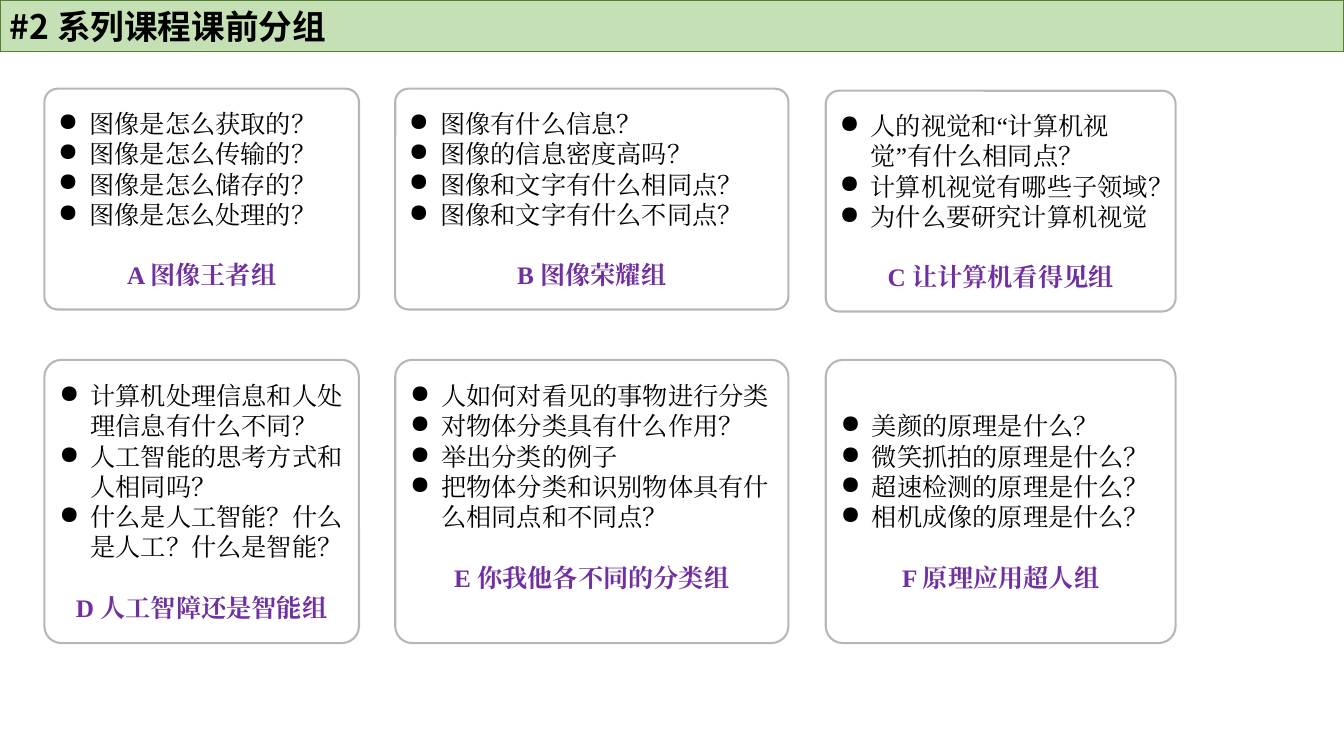
from lxml.etree import SubElement
from pptx import Presentation
from pptx.dml.color import RGBColor
from pptx.enum.lang import MSO_LANGUAGE_ID
from pptx.enum.shapes import MSO_SHAPE
from pptx.enum.text import MSO_ANCHOR, PP_ALIGN
from pptx.oxml.ns import qn
from pptx.util import Inches, Pt

BLACK = RGBColor(0x00, 0x00, 0x00)
WHITE = RGBColor(0xFF, 0xFF, 0xFF)
PALE_GREEN = RGBColor(0xC5, 0xE0, 0xB4)
DARK_GREEN = RGBColor(0x53, 0x80, 0x35)
GREY = RGBColor(0xA6, 0xA6, 0xA6)
PURPLE = RGBColor(0x70, 0x30, 0xA0)

# Grid in inches: (start, size) of each column and row
COLUMNS = [(0.44, 3.12), (3.92, 3.9), (8.19, 3.47)]
ROWS = [(0.88, 2.19), (3.57, 2.81)]
LINE_PITCH = 0.3
HEADING = "#2 系列课程课前分组"

# Group name, questions, optional placement adjustments
GROUPS = [
    ("A 图像王者组",
     ["图像是怎么获取的？", "图像是怎么传输的？", "图像是怎么储存的？", "图像是怎么处理的？"], {}),
    ("B 图像荣耀组",
     ["图像有什么信息？", "图像的信息密度高吗？", "图像和文字有什么相同点？",
      "图像和文字有什么不同点？"], {}),
    ("C 让计算机看得见组",
     ["人的视觉和“计算机视觉”有什么相同点？", "计算机视觉有哪些子领域？",
      "为什么要研究计算机视觉"], {"drop": 0.02}),
    ("D 人工智障还是智能组",
     ["计算机处理信息和人处理信息有什么不同？", "人工智能的思考方式和人相同吗？",
      "什么是人工智能？什么是人工？什么是智能？"], {}),
    ("E 你我他各不同的分类组",
     ["人如何对看见的事物进行分类", "对物体分类具有什么作用？", "举出分类的例子",
      "把物体分类和识别物体具有什么相同点和不同点？"], {"lift": LINE_PITCH}),
    ("F 原理应用超人组",
     ["美颜的原理是什么？", "微笑抓拍的原理是什么？", "超速检测的原理是什么？",
      "相机成像的原理是什么？"], {}),
]


class GroupSlide:
    heading_font = "Noto Sans CJK SC"
    body_font = "Times New Roman"

    def __init__(self, deck):
        self.width = deck.slide_width
        self.slide = deck.slides.add_slide(deck.slide_layouts[6])

    def panel(self, kind, left, top, width, height, fill, edge, edge_width):
        panel = self.slide.shapes.add_shape(kind, left, top, width, height)
        panel.shadow.inherit = False
        panel.fill.solid()
        panel.fill.fore_color.rgb = fill
        panel.line.color.rgb = edge
        panel.line.width = Pt(edge_width)
        panel.text_frame.word_wrap = True
        panel.text_frame.vertical_anchor = MSO_ANCHOR.MIDDLE
        return panel

    def set_line(self, paragraph, text, typeface, size, color=BLACK, bold=False,
                 align=PP_ALIGN.LEFT):
        paragraph.text = text
        paragraph.alignment = align
        for run in paragraph.runs:
            run.font.name = typeface
            run.font.size = Pt(size)
            run.font.bold = bold
            run.font.color.rgb = color
            run.font.language_id = MSO_LANGUAGE_ID.SIMPLIFIED_CHINESE
            SubElement(run._r.get_or_add_rPr(), qn("a:ea"), typeface=typeface)

    def bullet(self, paragraph):
        indent = Inches(0.31)
        properties = paragraph._p.get_or_add_pPr()
        properties.set("marL", str(indent))
        properties.set("indent", str(-indent))
        SubElement(properties, qn("a:buChar"), char="●")

    def heading(self, text):
        banner = self.panel(MSO_SHAPE.RECTANGLE, 0, 0, self.width, Inches(0.51),
                            PALE_GREEN, DARK_GREEN, 1)
        self.set_line(banner.text_frame.paragraphs[0], text, self.heading_font, 24, bold=True)

    def card(self, column, row, name, questions, drop=0, lift=0):
        left, width = COLUMNS[column]
        top, height = ROWS[row]
        card = self.panel(MSO_SHAPE.ROUNDED_RECTANGLE, Inches(left), Inches(top + drop),
                          Inches(width), Inches(height), WHITE, GREY, 1.5)
        card.adjustments[0] = 0.06
        edge_color = card.line._ln.find(".//" + qn("a:srgbClr"))
        SubElement(edge_color, qn("a:alpha"), val="80000")
        frame = card.text_frame
        frame.margin_bottom = Inches(0.05 + lift)

        # Bulleted questions
        for index, question in enumerate(questions):
            line = frame.add_paragraph() if index else frame.paragraphs[0]
            self.bullet(line)
            self.set_line(line, question, self.body_font, 18)

        # Group name, one line below the questions
        label = frame.add_paragraph()
        self.set_line(label, name, self.body_font, 18, PURPLE, True, PP_ALIGN.CENTER)
        label.space_before = Inches(LINE_PITCH)
        for line in frame.paragraphs:
            line.line_spacing = Inches(LINE_PITCH)


def main():
    deck = Presentation()
    deck.slide_width, deck.slide_height = Inches(13.33), Inches(7.5)
    page = GroupSlide(deck)

    # Title banner
    page.heading(HEADING)

    # Cards, filled row by row
    for index, (name, questions, placement) in enumerate(GROUPS):
        row, column = divmod(index, len(COLUMNS))
        page.card(column, row, name, questions, **placement)

    deck.save("out.pptx")


if __name__ == "__main__":
    main()
